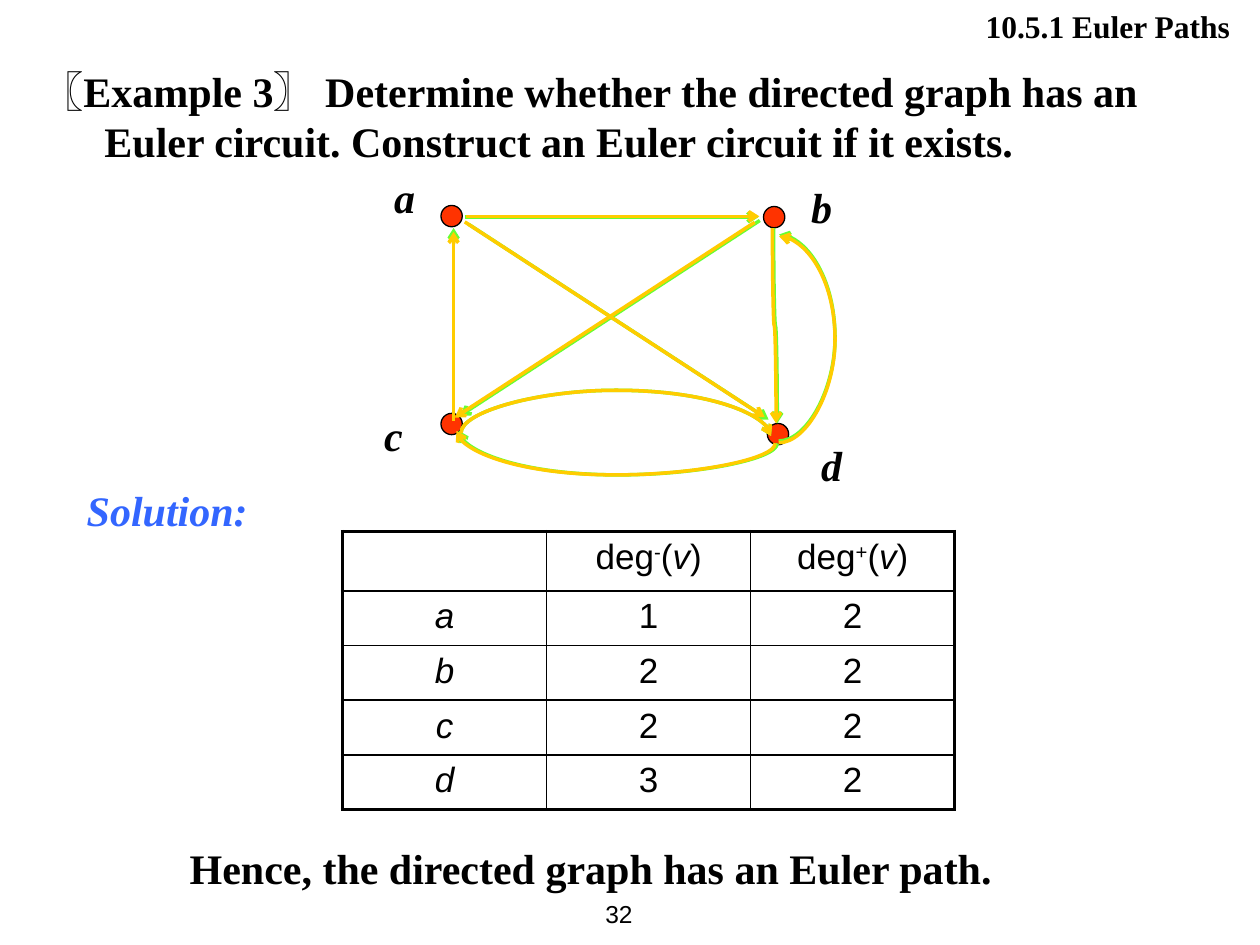
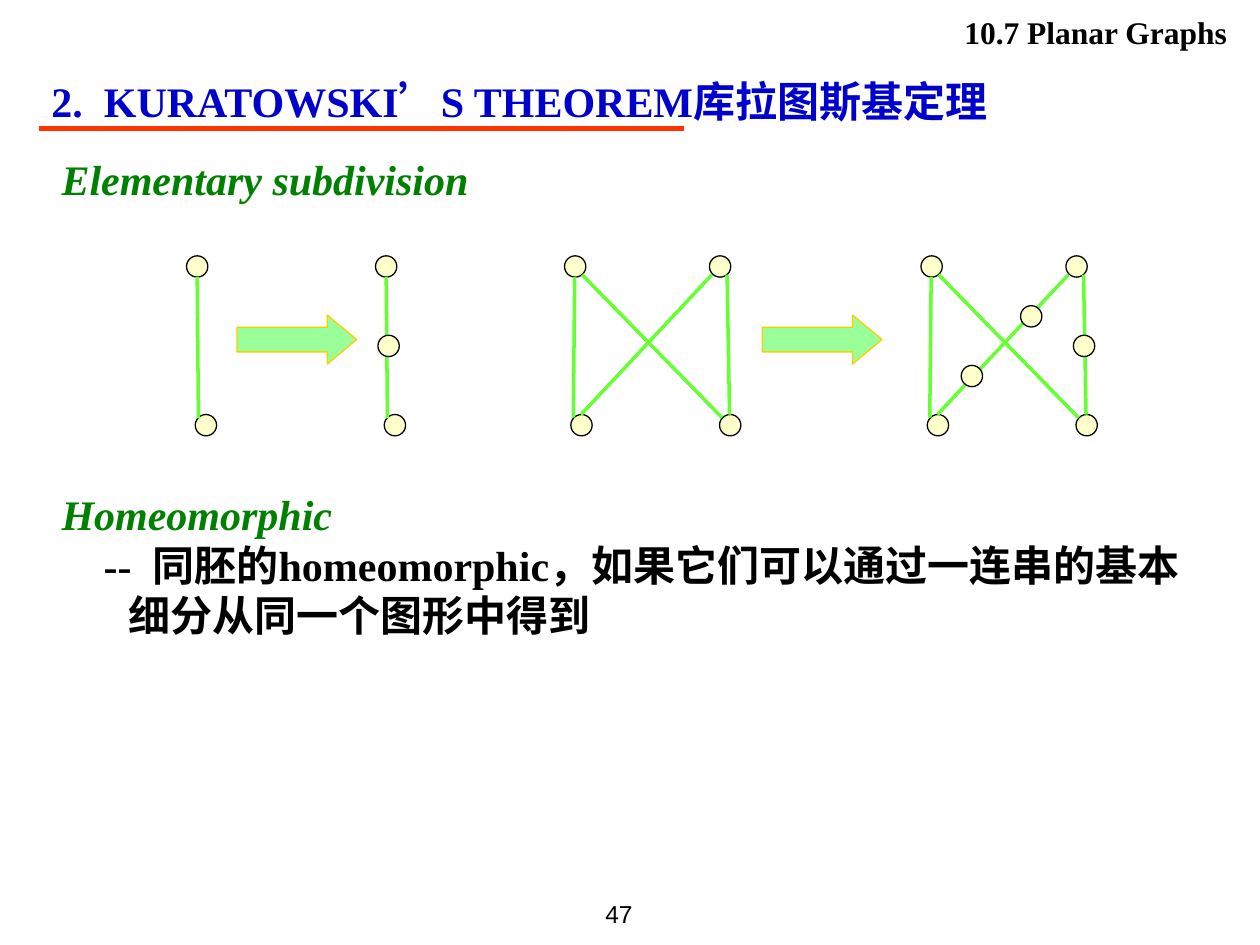
from pptx import Presentation
from pptx.dml.color import RGBColor
from pptx.enum.shapes import MSO_CONNECTOR, MSO_SHAPE
from pptx.enum.text import MSO_ANCHOR, PP_ALIGN
from pptx.oxml.ns import qn
from pptx.util import Pt
from lxml import etree

LINE, CURVE = MSO_CONNECTOR.STRAIGHT, MSO_CONNECTOR.CURVE
DOT, ARROW = MSO_SHAPE.FLOWCHART_CONNECTOR, MSO_SHAPE.RIGHT_ARROW
LEFT, CENTER, RIGHT = PP_ALIGN.LEFT, PP_ALIGN.CENTER, PP_ALIGN.RIGHT
TOP, MIDDLE = MSO_ANCHOR.TOP, MSO_ANCHOR.MIDDLE

SERIF, SANS = "Times New Roman", "Arial"
BLACK, RED, GREEN, GOLD = "000000", "FF3300", "66FF33", "FFCC00"
BLUE, NAVY, FOREST = "3366FF", "0000CC", "008000"
CREAM, MINT = "FFFFCC", "99FF99"
SIZE = 12.2  # diameter of a vertex


def rgb(code):
    return RGBColor.from_string(code)


def sub(node, tag, **attrs):
    return etree.SubElement(node, qn(tag), attrs)


class Deck:
    def __init__(self):
        self.prs = Presentation()
        self.prs.slide_width, self.prs.slide_height = Pt(720), Pt(540)
        self.slide = None

    def page(self, title, top, right, number):
        """Start a slide with its header and page number."""
        self.slide = self.prs.slides.add_slide(self.prs.slide_layouts[6])
        self.text(286, top, right - 286, 29, [self.run(title, size=18)], align=RIGHT)
        self.text(320.4, 504, 48.2, 36,
                  [self.run(number, size=14, font=SANS, bold=False)],
                  align=RIGHT, anchor=MIDDLE)

    # Text
    def run(self, text, size=24, font=SERIF, color=BLACK, bold=True,
            italic=False, **attrs):
        return text, size, font, color, bold, italic, attrs

    def fill(self, para, runs):
        for text, size, font, color, bold, italic, attrs in runs:
            run = para.add_run()
            run.text = text
            run.font.size, run.font.name = Pt(size), font
            run.font.bold, run.font.italic = bold, italic
            run.font.color.rgb = rgb(color)
            for key, value in attrs.items():
                run.font._element.set(key, value)

    def text(self, x, y, w, h, *paras, align=LEFT, anchor=TOP, hang=(0, 0)):
        """Each paragraph is a list of runs; hang is (margin, first-line indent)."""
        frame = self.slide.shapes.add_textbox(Pt(x), Pt(y), Pt(w), Pt(h)).text_frame
        frame.word_wrap, frame.vertical_anchor = True, anchor
        for i, runs in enumerate(paras):
            para = frame.add_paragraph() if i else frame.paragraphs[0]
            para.alignment = align
            margin, first = hang if i == len(paras) - 1 else (0, 0)
            props = para._p.get_or_add_pPr()
            props.set("marL", str(Pt(margin)))
            props.set("indent", str(Pt(first)))
            self.fill(para, runs)

    # Shapes
    def shape(self, kind, x, y, w, h, fill, line):
        shape = self.slide.shapes.add_shape(kind, Pt(x), Pt(y), Pt(w), Pt(h))
        shape.shadow.inherit = False
        shape.fill.solid()
        shape.fill.fore_color.rgb = rgb(fill)
        shape.line.color.rgb = rgb(line)
        shape.line.width = Pt(0.75)
        return shape

    def dots(self, places, fill):
        for x, y in places:
            self.shape(DOT, x, y, SIZE, SIZE, fill, BLACK)

    def arrow(self, x, y):
        shape = self.shape(ARROW, x, y, 68.4, 28.1, MINT, GOLD)
        shape.adjustments[0], shape.adjustments[1] = 0.5, 0.6

    # Lines
    def link(self, x1, y1, x2, y2, color, width=2, tip=None, kind=LINE):
        link = self.slide.shapes.add_connector(kind, Pt(x1), Pt(y1), Pt(x2), Pt(y2))
        link.line.color.rgb = rgb(color)
        link.line.width = Pt(width)
        if tip:
            sub(link.line._get_or_add_ln(), "a:" + tip, type="arrow")
        sub(link._element.spPr, "a:effectLst")
        return link

    def bend(self, link, ratio):
        guides = link._element.spPr.find(qn("a:prstGeom")).get_or_add_avLst()
        sub(guides, "a:gd", name="adj1", fmla=f"val {round(ratio * 100000)}")

    def arc(self, x1, y1, x2, y2, via, color, tip):
        """Curve from upper left to lower right that passes the height via."""
        w, h = y2 - y1, x2 - x1
        left, top = (x1 + x2 - w) / 2, (y1 + y2 - h) / 2
        link = self.link(left, top, left + w, top + h, color, tip=tip, kind=CURVE)
        frame = link._element.spPr.find(qn("a:xfrm"))
        frame.set("rot", str(270 * 60000))
        frame.set("flipH", "1")
        self.bend(link, (via - y1) / w)

    def loop(self, x, y1, y2, via, color, tip):
        """Curve between two points of a vertical that reaches out to via."""
        thin = 0.13
        link = self.link(x, y1, x + thin, y2, color, tip=tip, kind=CURVE)
        self.bend(link, (via - x) / thin)

    # Table
    def table(self, x, y, cols, rows, data):
        table = self.slide.shapes.add_table(
            len(rows), len(cols), Pt(x), Pt(y), Pt(sum(cols)), Pt(sum(rows))).table
        table.first_row = table.horz_banding = False
        for i, w in enumerate(cols):
            table.columns[i].width = Pt(w)
        for r, h in enumerate(rows):
            table.rows[r].height = Pt(h)
            for c in range(len(cols)):
                cell = table.cell(r, c)
                para = cell.text_frame.paragraphs[0]
                para.alignment = CENTER
                self.fill(para, data[r][c])
                props = cell._tc.get_or_add_tcPr()
                outer = {"L": c == 0, "R": c == len(cols) - 1,
                         "T": r == 0, "B": r == len(rows) - 1}
                for side, edge in outer.items():
                    line = sub(props, "a:ln" + side, w=str(Pt(2.25 if edge else 1)))
                    sub(sub(line, "a:solidFill"), "a:srgbClr", val=BLACK)
                cell.fill.background()


def euler(deck):
    run = deck.run
    deck.page("10.5.1 Euler Paths", 0.7, 710, "32")
    deck.text(16.6, 33.8, 658, 64.8,
              [run("〖", font=SANS), run("Example 3"), run("〗 ", font=SANS),
               run("Determine whether the directed graph has an Euler circuit. "
                   "Construct an Euler circuit if it exists.")],
              hang=(36, -36))

    # Vertices and their names
    deck.dots([(436.3, 118), (252, 117.4), (252, 236.2), (438.5, 242)], RED)
    for name, x, y in [("a", 218.2, 94.3), ("b", 456.5, 100.1),
                       ("c", 212.4, 230.4), ("d", 462.2, 247.7)]:
        deck.text(x, y, 26.6, 23.8, [run(name, italic=True)])

    # Edges, drawn in green and again in gold with a small shift
    straight = [((259.2, 238.3, 259.2, 130.3), (0, 2.2)),
                ((265.7, 124.1, 433.4, 124.1), (0.5, -0.5)),
                ((434.2, 126, 262.8, 237.6), (-2.9, 1)),
                ((267.8, 128.2, 439.2, 239.8), (-2.2, -1.4))]
    curved = [((262.1, 246.2, 444.2, 253.4), 271.4, "headEnd", -1.2),
              ((263.5, 247.4, 440.6, 249.2), 223.2, "tailEnd", 0),
              ((442.1, 130.3, 444.2, 241.9), 186.1, "tailEnd", -0.7)]
    for color, step in [(GREEN, 0), (GOLD, 1)]:
        for (x1, y1, x2, y2), (dx, dy) in straight:
            dx, dy = dx * step, dy * step
            deck.link(x1 + dx, y1 + dy, x2 + dx, y2 + dy, color, tip="tailEnd")
        for (x1, y1, x2, y2), via, tip, dx in curved:
            dx *= step
            deck.arc(x1 + dx, y1, x2 + dx, y2, via, color, tip)
        deck.loop(445, 252 + step, 134 + step, 474.5, color, "tailEnd")

    # Degrees
    deck.text(42.5, 273.6, 601, 36, [run("Solution:", color=BLUE, italic=True)])

    def word(text, **style):
        return run(text, size=20, font=SANS, bold=False, **style)

    def head(sign):
        return [word("deg"), word(sign, baseline="30000"), word("("),
                word("v", italic=True), word(")")]

    data = [[[], head("-"), head("+")]]
    for name, into, out in ["a12", "b22", "c22", "d32"]:
        data.append([[word(name, italic=True)], [word(into)], [word(out)]])
    deck.table(195.8, 303.8, [116.6] * 3, [33.8] + [31] * 4, data)

    deck.text(64.8, 478, 638, 36,
              [run("Hence, the directed graph has an Euler path.")], hang=(36.5, 0))


def planar(deck):
    run = deck.run
    deck.page("10.7 Planar Graphs", 4, 708.3, "47")
    deck.text(22.3, 39.6, 663, 36,
              [run("2.\tKURATOWSKI’S THEOREM库拉图斯基定理", color=NAVY)],
              hang=(30, -30))
    deck.link(22.3, 73.4, 391, 73.4, RED, width=3)
    deck.text(28.1, 84.2, 658, 36,
              [run("Elementary subdivision", color=FOREST, italic=True)])

    # Graphs before and after subdivision
    top = 146.2

    def graph(x, spots, edges, extra=()):
        deck.dots([(x + dx, top + dy) for dx, dy in spots], CREAM)
        for x1, y1, x2, y2 in edges:
            deck.link(x + x1, top + y1, x + x2, top + y2, GREEN)
        deck.dots([(x + dx, top + dy) for dx, dy in extra], CREAM)

    path = [(0, 0), (5, 90.7)], [(6.1, 12.2, 6.8, 92.9)]
    bow = ([(0, 0), (82.8, 0), (3.6, 90.7), (88.6, 90.7)],
           [(5.8, 12.2, 5, 92.5), (84.2, 10.8, 9.4, 90.7),
            (10.1, 10.8, 90, 92.5), (92.9, 10.8, 94.3, 90.7)])
    graph(106.6, *path)
    graph(214.6, *path, [(1.4, 45.4)])
    graph(322.6, *bow)
    graph(526.3, *bow, [(87.1, 45.4), (56.9, 28.5), (23, 62.6)])
    for x in (135.4, 435.6):
        deck.arrow(x, 180)

    # Definition
    deck.text(28.1, 275.8, 658, 94.3,
              [run("Homeomorphic", color=FOREST, italic=True)],
              [run("--"), run(" ", spc="600"),
               run("同胚的homeomorphic，如果它们可以通过一连串的基本细分从同一个图形中得到")],
              hang=(38.2, -14.2))


def main():
    deck = Deck()
    euler(deck)
    planar(deck)
    deck.prs.save("out.pptx")


if __name__ == "__main__":
    main()
